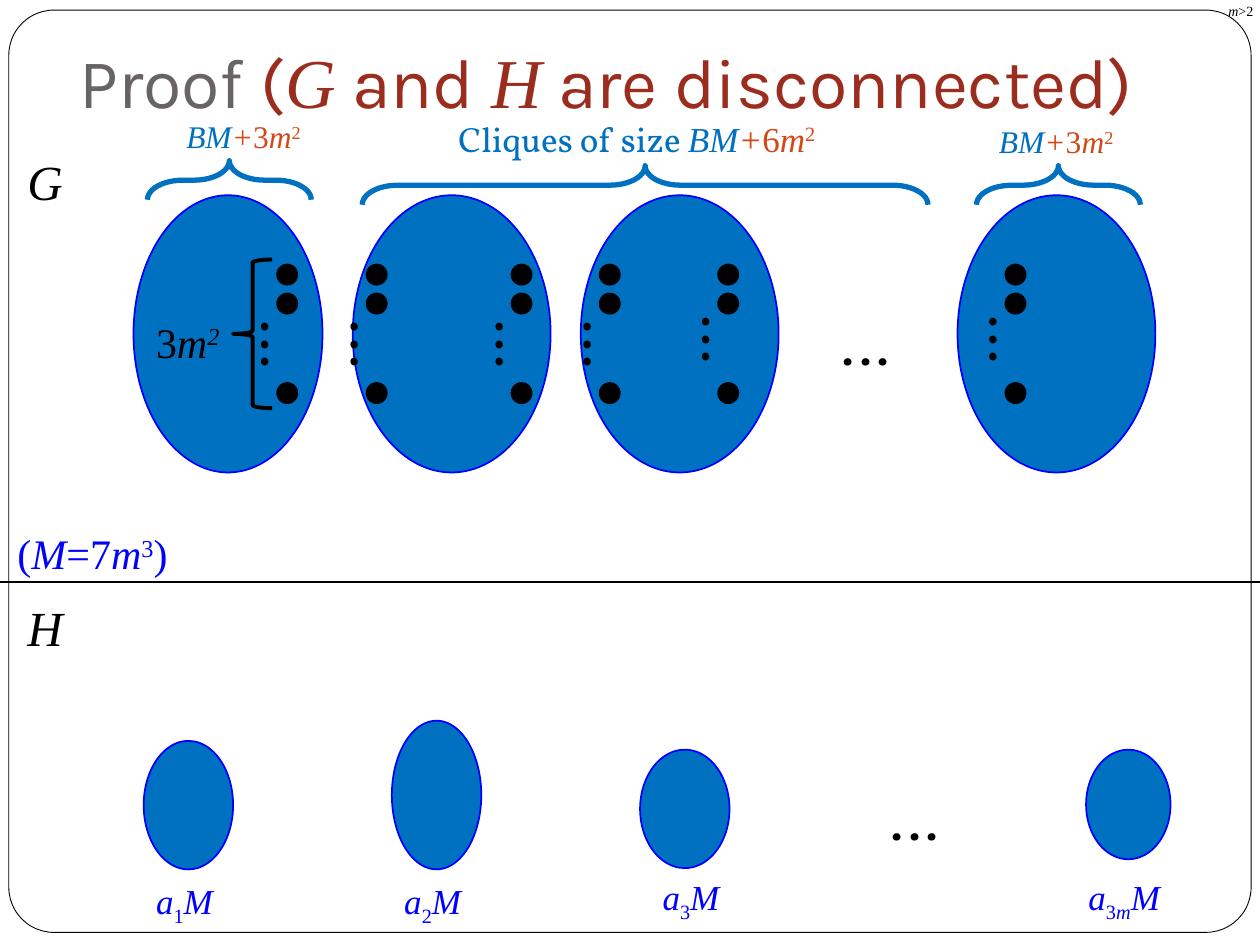
import pptx
import pptx.util
import pptx.dml.color
import pptx.enum.shapes
import pptx.enum.text
import pptx.oxml

SHAPE = pptx.enum.shapes.MSO_SHAPE
BLUE, EDGE, INK = "0070C0", "0000FF", "000000"
RUST, BRICK, GRAY = "D34817", "9B2D1F", "696464"
SERIF, BODY, HEAD = "Times New Roman", "Vollkorn", "Karla"
DOTS = [("…", "")]


def color(code):
    return pptx.dml.color.RGBColor.from_string(code)


def assign(item, values):
    for key, value in values.items():
        setattr(item, key, value)


class Board:
    cols, rows = 100, 75
    shift = {"u": "30000", "d": "-25000"}

    def __init__(self):
        self.deck = pptx.Presentation()
        assign(self.deck, {"slide_width": pptx.util.Inches(10),
                           "slide_height": pptx.util.Inches(7.5)})
        self.slide = self.deck.slides.add_slide(self.deck.slide_layouts[5])
        self.shapes = self.slide.shapes

    def grid(self, x, y, *size):
        wide = self.deck.slide_width / self.cols
        high = self.deck.slide_height / self.rows
        return [round(n * (high if i % 2 else wide))
                for i, n in enumerate((x, y, *size))]

    def letter(self, frame, runs, size, hue, font):
        para = frame.paragraphs[0]
        for text, marks, *extra in runs:
            look = {"hue": hue, "font": font, **(extra[0] if extra else {})}
            run = para.add_run()
            run.text = text
            assign(run.font, {"size": pptx.util.Pt(size), "name": look["font"],
                              "italic": "i" in marks, "bold": False})
            run.font.color.rgb = color(look["hue"])
            for mark in marks:
                if mark in self.shift:
                    run.font._element.set("baseline", self.shift[mark])
        return para

    def title(self, box, runs, size, hue):
        item = self.shapes.title
        assign(item, dict(zip(("left", "top", "width", "height"), self.grid(*box))))
        frame = item.text_frame
        inch = pptx.util.Inches
        assign(frame, {"word_wrap": True,
                       "auto_size": pptx.enum.text.MSO_AUTO_SIZE.NONE,
                       "vertical_anchor": pptx.enum.text.MSO_ANCHOR.BOTTOM,
                       "margin_left": inch(0.1), "margin_right": inch(0.1),
                       "margin_top": inch(0.05), "margin_bottom": inch(0.1)})
        para = self.letter(frame, runs, size, hue, HEAD)
        para.alignment = pptx.enum.text.PP_ALIGN.LEFT

    def text(self, box, runs, size, hue=INK, font=SERIF, turn=0):
        item = self.shapes.add_textbox(*self.grid(*box))
        item.rotation = turn
        assign(item.text_frame, {
            "word_wrap": True,
            "auto_size": pptx.enum.text.MSO_AUTO_SIZE.SHAPE_TO_FIT_TEXT})
        self.letter(item.text_frame, runs, size, hue, font)

    def shape(self, kind, box, fill, edge, width, turn=0, bends=()):
        item = self.shapes.add_shape(kind, *self.grid(*box))
        item.rotation = turn
        item.shadow.inherit = False
        if fill:
            item.fill.solid()
            item.fill.fore_color.rgb = color(fill)
        else:
            item.fill.background()
        item.line.color.rgb = color(edge)
        item.line.width = pptx.util.Pt(width)
        for i, bend in enumerate(bends):
            item.adjustments[i] = bend
        return item

    def frame(self, box):
        item = self.shape(SHAPE.ROUNDED_RECTANGLE, box, "FFFFFF", INK, 0.5,
                          bends=(0.049,))
        self.shapes._spTree.insert(2, item._element)

    def rule(self, start, end):
        item = self.shapes.add_connector(
            pptx.enum.shapes.MSO_CONNECTOR.STRAIGHT,
            *self.grid(*start), *self.grid(*end))
        item.line.color.rgb = color(INK)
        item.line.width = pptx.util.Pt(0.75)
        item._element.spPr.append(pptx.oxml.parse_xml(
            '<a:effectLst xmlns:a='
            '"http://schemas.openxmlformats.org/drawingml/2006/main"/>'))

    def clique(self, *box):
        self.shape(SHAPE.OVAL, box, BLUE, EDGE, 1)

    def dots(self, x, y, turn=0):
        self.text((x, y, 5.5, 6.4), DOTS, 32, font=BODY, turn=turn)

    def column(self, x, y):
        for top in (21, 23.3, 30.4):
            self.shape(SHAPE.OVAL, (x, top, 1.6, 1.6), INK, INK, 1)
        self.dots(x - 2.25, y, 90)

    def brace(self, mid, y, span):
        self.shape(SHAPE.LEFT_BRACE, (mid - 1.55, y - span / 2, 3.1, span),
                   None, BLUE, 3, 90, (0.905, 0.5))


def bound(count):
    rust = {"font": SERIF, "hue": RUST}
    return [("BM", "i", {"font": SERIF}), ("+", "i", rust), (count, "", rust),
            ("m", "i", rust), ("2", "u", rust)]


board = Board()
board.frame((0.7, 0.8, 98.6, 73.2))
serif = {"font": SERIF}
board.title((5.3, 1.3, 92.8, 9.4),
            [("Proof ", "", {"hue": GRAY}), ("(", ""), ("G", "i", serif),
             (" and ", ""), ("H", "i", serif), (" are disconnected)", "")],
            40, BRICK)

board.clique(10.6, 15.5, 15, 22)
for x in (28, 46.1, 76):
    board.clique(x, 15.5, 15.7, 22)
board.rule((0, 46.2), (100.4, 46.2))
for name, y in (("G", 11.5), ("H", 46.9)):
    board.text((1.2, y, 6.3, 5.7), [(name, "i")], 28)

for x, y in ((65.8, 24.1), (69.7, 61.8)):
    board.dots(x, y)
for x, y in ((22, 24), (29.1, 24), (40.6, 24), (47.6, 24), (57, 23.6), (79.8, 23.6)):
    board.column(x, y)

board.shape(SHAPE.LEFT_BRACE, (18.5, 20.6, 3.1, 11.8), None, INK, 2.25)
board.text((11.4, 24.6, 8.7, 5), [("3", ""), ("m", "i"), ("2", "iu")], 24)

for mid, y, span in ((18.2, 14.3, 13), (84, 14.7, 13), (51.2, 14.7, 44.9)):
    board.brace(mid, y, span)
for x, y in ((13.8, 8.8), (78.3, 9.2)):
    board.text((x, y, 12.2, 4), bound("3"), 18, BLUE)
board.text((35.4, 8.8, 33.1, 4.4), [("Cliques of size ", "")] + bound("6"),
           20, BLUE, BODY)
board.text((0.4, 41.4, 14.2, 5),
           [("(", ""), ("M", "i"), ("=7", ""), ("m", "i"), ("3", "u"), (")", "")],
           24, EDGE)

for oval, label, index in (
        ((11.4, 58.8, 7.1, 10.2), (11.4, 69.3, 7.1, 4.4), [("1", "d")]),
        ((31.1, 57.2, 7.1, 11.8), (31.1, 69.3, 7.9, 4.4), [("2", "d")]),
        ((50.8, 59.5, 7.1, 9.4), (51.6, 69, 7.9, 4.4), [("3", "d")]),
        ((86.2, 59.5, 6.7, 8.7), (85.4, 69, 8.7, 4.4), [("3", "d"), ("m", "id")])):
    board.clique(*oval)
    board.text(label, [("a", "i"), *index, ("M", "i")], 20, EDGE)
board.text((96.5, -0.3, 4.7, 2.4), [("m", "i"), (">2", "")], 8)

board.deck.save("out.pptx")
